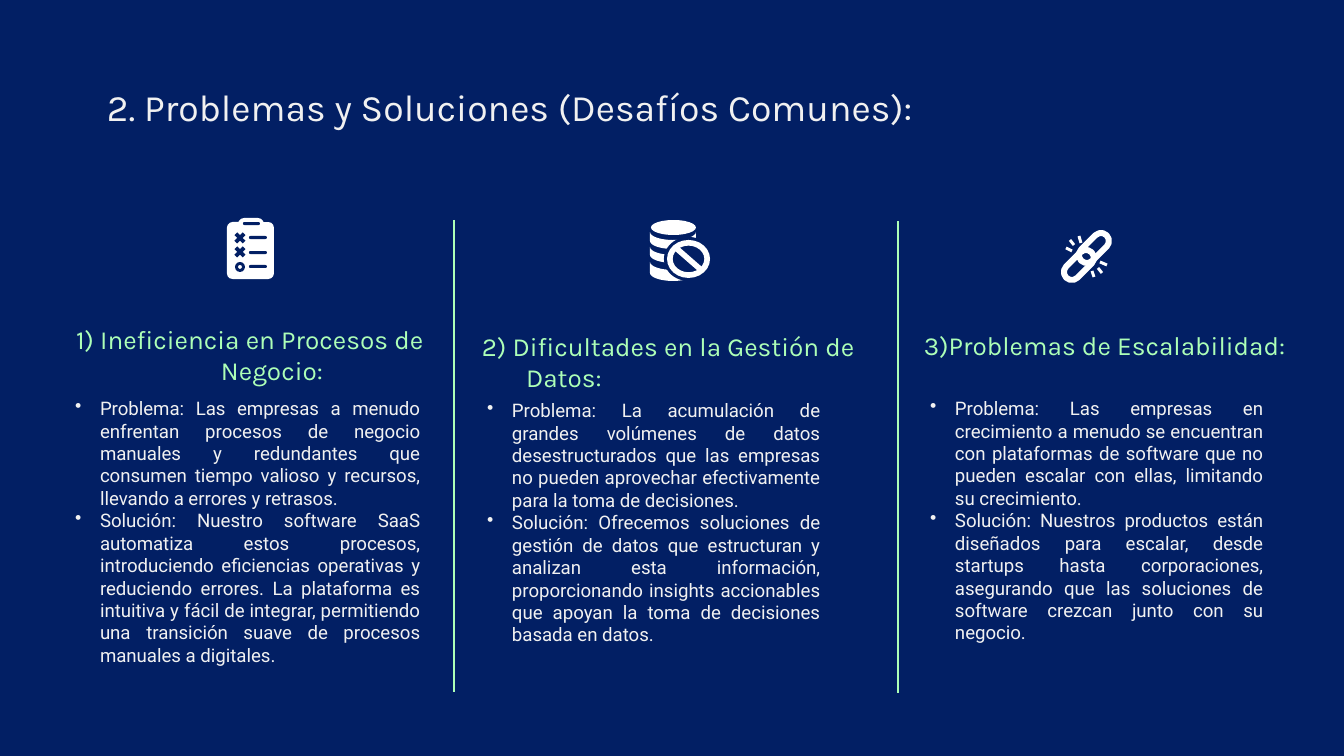
from math import cos, pi, sin

from lxml.etree import SubElement
from pptx import Presentation
from pptx.dml.color import RGBColor
from pptx.enum.shapes import MSO_CONNECTOR, MSO_SHAPE
from pptx.enum.text import MSO_ANCHOR, PP_ALIGN
from pptx.oxml.ns import qn
from pptx.util import Pt

THEME = {
    "navy": RGBColor.from_string("021F64"),
    "light": RGBColor.from_string("F1F1F1"),
    "green": RGBColor.from_string("ADFFB7"),
    "white": RGBColor.from_string("FFFFFF"),
    "title": {"name": "Karla", "size": Pt(20)},
    "heading": {"name": "Karla", "size": Pt(14)},
    "body": {"name": "Roboto", "size": Pt(10)},
    "divider": 0.75,
    "spark": 1.6,
    "link": 3.2,
}
SLIDE_SIZE = (1344, 756)
SCALE = 914400 / 134.4
INSET = 13
HEADING_INDENT = (67, -44)
BULLET_INDENT = (25, -25)

TITLE = ("2. Problemas y Soluciones (Desafíos Comunes):", (94, 71, 1271, 85))
COLUMNS = [
    {
        "heading": "1) Ineficiencia en Procesos de Negocio:",
        "heading_box": (34, 314, 409, 85),
        "align": PP_ALIGN.CENTER,
        "body_box": (62, 384, 371, 325),
        "body": [
            "Problema: Las empresas a menudo enfrentan procesos de negocio manuales y redundantes que consumen tiempo valioso y recursos, llevando a errores y retrasos.",
            "Solución: Nuestro software SaaS automatiza estos procesos, introduciendo eficiencias operativas y reduciendo errores. La plataforma es intuitiva y fácil de integrar, permitiendo una transición suave de procesos manuales a digitales.",
        ],
    },
    {
        "heading": "2) Dificultades en la Gestión de Datos:",
        "heading_box": (446, 320, 437, 86),
        "align": PP_ALIGN.LEFT,
        "body_box": (474, 386, 359, 280),
        "body": [
            "Problema: La acumulación de grandes volúmenes de datos desestructurados que las empresas no pueden aprovechar efectivamente para la toma de decisiones.",
            "Solución: Ofrecemos soluciones de gestión de datos que estructuran y analizan esta información, proporcionando insights accionables que apoyan la toma de decisiones basada en datos.",
        ],
    },
    {
        "heading": "3)Problemas de Escalabilidad:",
        "heading_box": (888, 289, 422, 85),
        "align": PP_ALIGN.LEFT,
        "body_box": (917, 384, 359, 309),
        "body": [
            "Problema: Las empresas en crecimiento a menudo se encuentran con plataformas de software que no pueden escalar con ellas, limitando su crecimiento.",
            "Solución: Nuestros productos están diseñados para escalar, desde startups hasta corporaciones, asegurando que las soluciones de software crezcan junto con su negocio.",
        ],
    },
]
DIVIDERS = [(454, 220, 454, 692), (898, 221, 898, 693)]

CLIPBOARD = [
    (MSO_SHAPE.ROUNDED_RECTANGLE, (227, 222, 47, 57), "white", 0.12),
    (MSO_SHAPE.ROUNDED_RECTANGLE, (238, 218, 26, 12), "white", 0.5),
    (MSO_SHAPE.ROUNDED_RECTANGLE, (243, 222, 17, 3), "navy", 0.5),
    *[(MSO_SHAPE.ROUNDED_RECTANGLE, (249, y, 18, 3), "navy", 0.5) for y in (236, 251, 265)],
    *[(MSO_SHAPE.MATH_MULTIPLY, (232, y, 16, 16), "navy", 0.24) for y in (230, 244)],
    (MSO_SHAPE.DONUT, (235, 262, 10, 10), "navy", 0.3),
]
DATABASE_TOP = [(MSO_SHAPE.OVAL, (651, 220, 45, 15), "white", None)]
DATABASE_BANDS = [(232, 241), (247, 255), (262, 273)]
PROHIBITION = [
    (MSO_SHAPE.OVAL, (664, 237, 49, 44), "navy", None),
    (MSO_SHAPE.NO_SYMBOL, (667, 240, 43, 38), "white", 0.15),
]
CHAIN_LINKS = [(1076, 257, 36, 16), (1061, 257, 36, 16)]
LINK_CENTERS = [(1094, 248), (1079, 265)]
SPARKS = [
    (1100, 262, 1107, 265), (1098, 268, 1102, 273), (1092, 271, 1094, 277),
    (1070, 240, 1074, 245), (1079, 236, 1081, 243), (1066, 248, 1072, 251),
]


def px(value):
    return round(value * SCALE)


def apply(target, values):
    for name, value in values.items():
        setattr(target, name, value)


def add_text(slide, texts, box, style, color, align=PP_ALIGN.LEFT,
             anchor=MSO_ANCHOR.TOP, indent=(0, 0), bullet=None):
    frame = slide.shapes.add_textbox(*map(px, box)).text_frame
    margins = {f"margin_{side}": px(INSET) for side in ("left", "right", "top", "bottom")}
    apply(frame, {"word_wrap": True, "vertical_anchor": anchor, **margins})
    for index, text in enumerate(texts):
        paragraph = frame.paragraphs[0] if index == 0 else frame.add_paragraph()
        properties = paragraph._p.get_or_add_pPr()
        properties.set("marL", str(px(indent[0])))
        properties.set("indent", str(px(indent[1])))
        if bullet:
            bullet_color = SubElement(properties, qn("a:buClr"))
            SubElement(bullet_color, qn("a:srgbClr")).set("val", str(THEME[color]))
            SubElement(properties, qn("a:buChar")).set("char", bullet)
        paragraph.alignment = align
        run = paragraph.add_run()
        run.text = text
        apply(run.font, THEME[style])
        run.font.color.rgb = THEME[color]


def paint(shape, color):
    shape.shadow.inherit = False
    shape.fill.solid()
    shape.fill.fore_color.rgb = THEME[color]
    shape.line.fill.background()


def add_parts(slide, parts):
    for kind, box, color, adjustment in parts:
        shape = slide.shapes.add_shape(kind, *map(px, box))
        paint(shape, color)
        if adjustment is not None:
            shape.adjustments[0] = adjustment


def add_line(slide, ends, color, width):
    line = slide.shapes.add_connector(MSO_CONNECTOR.STRAIGHT, *map(px, ends))
    line.line.color.rgb = THEME[color]
    line.line.width = Pt(THEME[width])
    SubElement(line._element.spPr, qn("a:effectLst"))


def add_band(slide, top, bottom, center=673, radius=23, dip=8, steps=16):
    angles = [pi * step / steps for step in range(steps + 1)]
    upper = [(px(center - radius * cos(a)), px(top + dip * sin(a))) for a in angles]
    lower = [(px(center + radius * cos(a)), px(bottom + dip * sin(a))) for a in angles]
    builder = slide.shapes.build_freeform(*upper[0])
    builder.add_line_segments(upper[1:] + lower, close=True)
    paint(builder.convert_to_shape(), "white")


def add_link(slide, center, length=36, width=16):
    box = (center[0] - length / 2, center[1] - width / 2, length, width)
    link = slide.shapes.add_shape(MSO_SHAPE.ROUNDED_RECTANGLE, *map(px, box))
    link.shadow.inherit = False
    link.fill.background()
    link.line.color.rgb = THEME["white"]
    link.line.width = Pt(THEME["link"])
    link.adjustments[0] = 0.5
    link.rotation = -45


def main():
    presentation = Presentation()
    apply(presentation, dict(zip(("slide_width", "slide_height"), map(px, SLIDE_SIZE))))
    slide = presentation.slides.add_slide(presentation.slide_layouts[6])
    slide.background.fill.solid()
    slide.background.fill.fore_color.rgb = THEME["navy"]

    add_text(slide, [TITLE[0]], TITLE[1], "title", "light")
    for column in COLUMNS:
        add_text(slide, [column["heading"]], column["heading_box"], "heading", "green",
                 column["align"], MSO_ANCHOR.BOTTOM, HEADING_INDENT)
        add_text(slide, column["body"], column["body_box"], "body", "light",
                 PP_ALIGN.JUSTIFY, indent=BULLET_INDENT, bullet="•")

    add_parts(slide, CLIPBOARD + DATABASE_TOP)
    for top, bottom in DATABASE_BANDS:
        add_band(slide, top, bottom)
    add_parts(slide, PROHIBITION)
    for center in LINK_CENTERS:
        add_link(slide, center)
    for spark in SPARKS:
        add_line(slide, spark, "white", "spark")
    for divider in DIVIDERS:
        add_line(slide, divider, "green", "divider")
    presentation.save("out.pptx")


if __name__ == "__main__":
    main()
